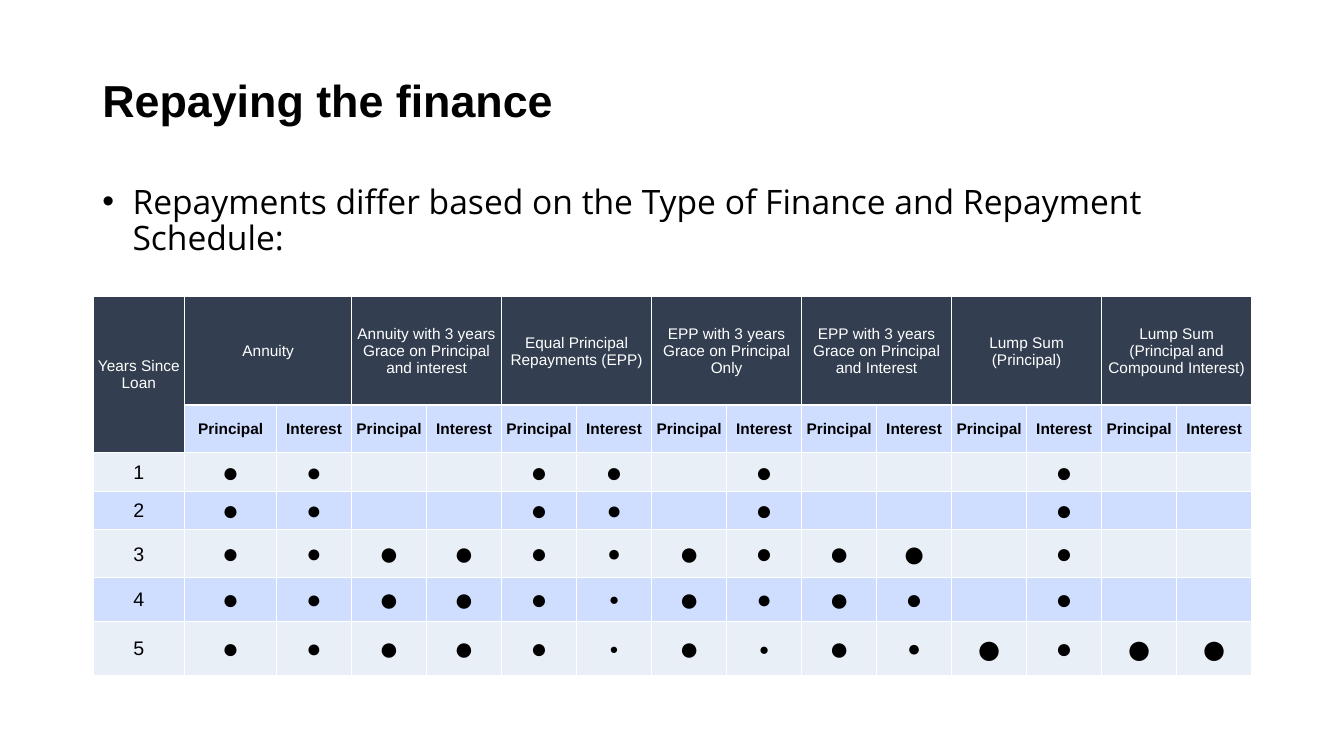
from lxml import etree
from pptx import Presentation, util as u
from pptx.dml.color import RGBColor
from pptx.enum import text
from pptx.oxml import ns

BLACK, WHITE, NAVY = "000000", "FFFFFF", "333F50"
BLUE, PALE = "CFDDFF", "E9EFF7"

SCHEDULES = [
    "Annuity",
    "Annuity with 3 years Grace on Principal and interest",
    "Equal Principal Repayments (EPP)",
    "EPP with 3 years Grace on Principal Only",
    "EPP with 3 years Grace on Principal and Interest",
    "Lump Sum\v(Principal)",
    "Lump Sum\v(Principal and Compound Interest)",
]
# Dot size for each year: principal and interest per schedule, 0 for no payment
DOT_SIZES = [
    [20, 18, 0, 0, 20, 20, 0, 20, 0, 0, 0, 20, 0, 0],
    [20, 18, 0, 0, 20, 18, 0, 20, 0, 0, 0, 20, 0, 0],
    [20, 18, 24, 24, 20, 16, 24, 20, 24, 28, 0, 20, 0, 0],
    [20, 18, 24, 24, 20, 12, 24, 18, 24, 20, 0, 20, 0, 0],
    [20, 18, 24, 24, 20, 10.5, 24, 12, 24, 16, 32, 20, 32, 32],
]
COLUMN_WIDTHS = [65.6] * 2 + [53.6] * 13
ROW_HEIGHTS = [77.5, 34, 27.5, 27.5, 34.5, 31, 38]


def color(hex_string):
    return RGBColor.from_string(hex_string)


class SlideBuilder:
    def __init__(self, presentation, font="Arial"):
        self.slide = presentation.slides.add_slide(presentation.slide_layouts[6])
        self.font = font

    def style(self, paragraph, size, fill=BLACK, bold=False, font=None):
        paragraph.font.name = font or self.font
        paragraph.font.size = u.Pt(size)
        paragraph.font.bold = bold
        paragraph.font.color.rgb = color(fill)

    def text_box(self, words, left, top, width, height, size, anchor,
                 bold=False, font=None, bullet=False):
        shape = self.slide.shapes.add_textbox(*map(u.Pt, (left, top, width, height)))
        frame = shape.text_frame
        frame.word_wrap = True
        frame.vertical_anchor = anchor
        paragraph = frame.paragraphs[0]
        paragraph.text = words
        paragraph.line_spacing = 0.9
        if bullet:
            self.bullet(paragraph)
        self.style(paragraph, size, bold=bold, font=font)

    def bullet(self, paragraph, indent=21.6):
        properties = paragraph._p.get_or_add_pPr()
        properties.set("marL", str(u.Pt(indent)))
        properties.set("indent", str(-u.Pt(indent)))
        etree.SubElement(properties, ns.qn("a:buFont"), typeface="Arial")
        etree.SubElement(properties, ns.qn("a:buChar"), char="•")

    def table(self, left, top, widths, heights):
        frame = self.slide.shapes.add_table(
            len(heights), len(widths),
            *map(u.Pt, (left, top, sum(widths), sum(heights))))
        table = frame.table
        table.first_row = table.horz_banding = False
        for column, width in zip(table.columns, widths):
            column.width = u.Pt(width)
        for row, height in zip(table.rows, heights):
            row.height = u.Pt(height)
        return table

    def cell(self, cell, words, fill, size, text_color=BLACK, bold=False):
        cell.fill.solid()
        cell.fill.fore_color.rgb = color(fill)
        cell.vertical_anchor = text.MSO_ANCHOR.MIDDLE
        cell.margin_left = cell.margin_right = cell.margin_top = u.Pt(0.7)
        cell.margin_bottom = 0
        self.borders(cell)
        paragraph = cell.text_frame.paragraphs[0]
        paragraph.text = words
        paragraph.alignment = text.PP_ALIGN.CENTER
        self.style(paragraph, size, text_color, bold)

    def borders(self, cell):
        properties = cell._tc.get_or_add_tcPr()
        for index, side in enumerate("LRTB"):
            line = etree.Element(ns.qn(f"a:ln{side}"), w=str(u.Pt(1)))
            solid = etree.SubElement(line, ns.qn("a:solidFill"))
            etree.SubElement(solid, ns.qn("a:srgbClr"), val=WHITE)
            properties.insert(index, line)


def add_repayment_table(builder):
    table = builder.table(66.4, 211.8, COLUMN_WIDTHS, ROW_HEIGHTS)
    for row in (0, 1):
        builder.cell(table.cell(row, 0), "" if row else "Years Since\vLoan",
                     NAVY, 11, WHITE)
    table.cell(0, 0).merge(table.cell(1, 0))

    for index, schedule in enumerate(SCHEDULES):
        first = 2 * index + 1
        for offset, part in enumerate(("Principal", "Interest")):
            builder.cell(table.cell(0, first + offset), "" if offset else schedule,
                         NAVY, 11, WHITE)
            builder.cell(table.cell(1, first + offset), part, BLUE, 11, bold=True)
        table.cell(0, first).merge(table.cell(0, first + 1))

    for year, sizes in enumerate(DOT_SIZES, start=1):
        fill = PALE if year % 2 else BLUE
        builder.cell(table.cell(year + 1, 0), str(year), fill, 14)
        for column, size in enumerate(sizes, start=1):
            builder.cell(table.cell(year + 1, column), "●" if size else "",
                         fill, size or 11)


def main():
    presentation = Presentation()
    presentation.slide_width, presentation.slide_height = u.Pt(960), u.Pt(540)
    builder = SlideBuilder(presentation)
    builder.text_box("Repaying the finance", 66, 28.8, 828, 89.3, 32,
                     text.MSO_ANCHOR.MIDDLE, bold=True)
    builder.text_box(
        "Repayments differ based on the Type of Finance and Repayment Schedule:",
        66, 128.8, 828, 89.3, 24, text.MSO_ANCHOR.TOP, font="Open Sans", bullet=True)
    add_repayment_table(builder)
    presentation.save("out.pptx")


if __name__ == "__main__":
    main()
